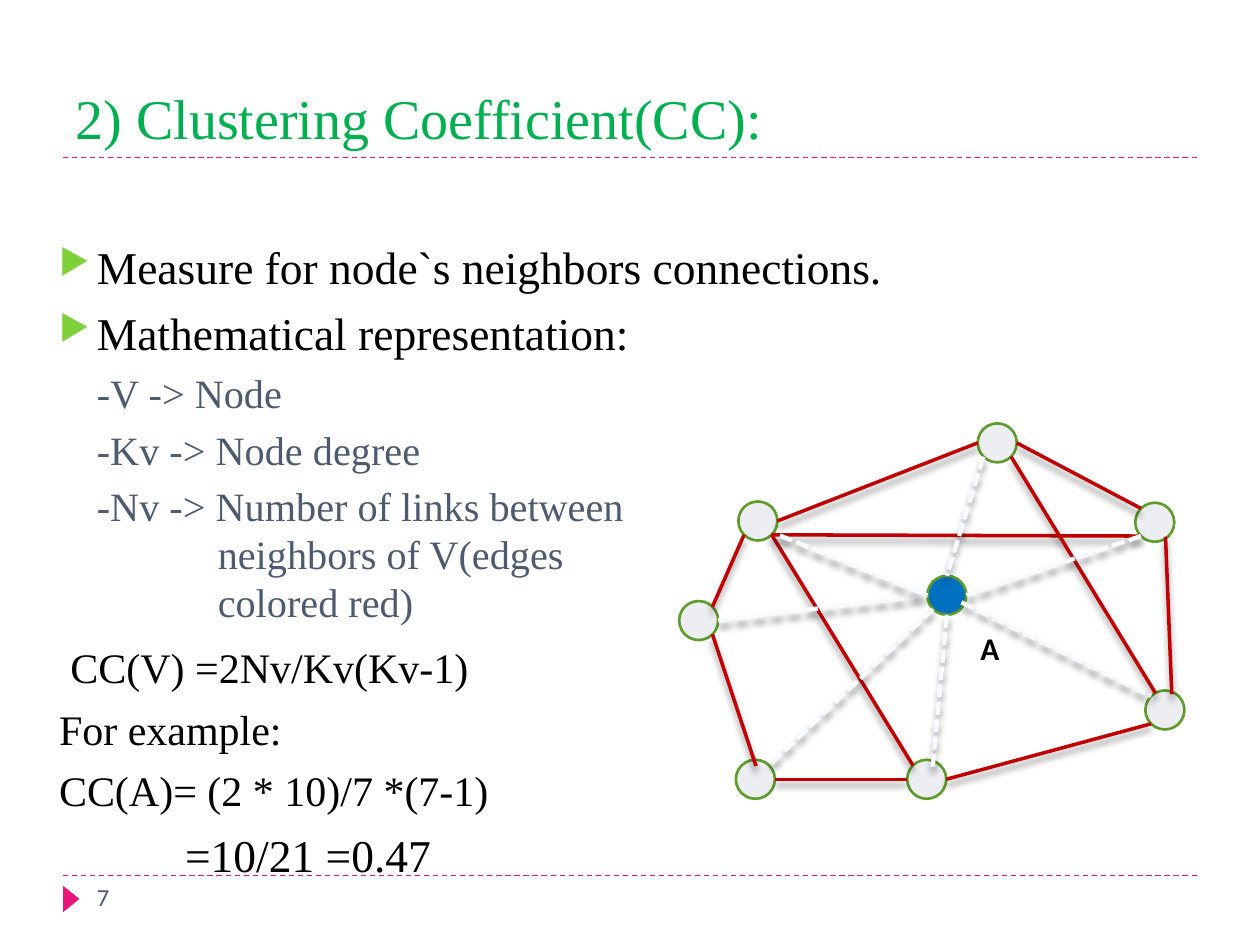
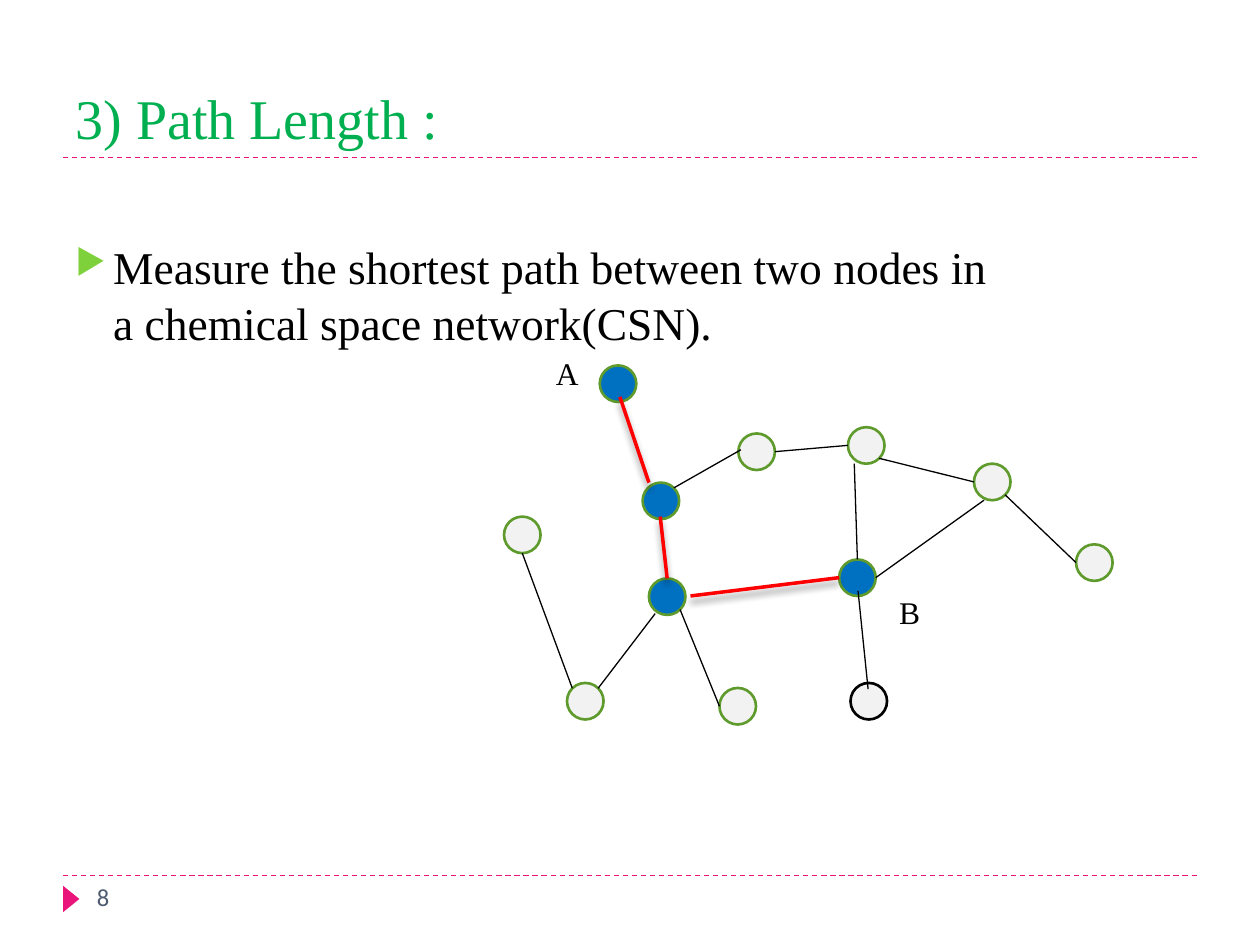
from math import cos, radians, sin

from lxml import etree
from pptx import Presentation
from pptx.dml.color import RGBColor
from pptx.enum.dml import MSO_LINE
from pptx.enum.shapes import MSO_CONNECTOR, MSO_SHAPE
from pptx.enum.text import MSO_ANCHOR, PP_ALIGN
from pptx.oxml.ns import qn
from pptx.util import Inches, Pt

STRAIGHT = MSO_CONNECTOR.STRAIGHT
OVAL, TRIANGLE = MSO_SHAPE.OVAL, MSO_SHAPE.ISOSCELES_TRIANGLE
DASH, SQUARE_DOT = MSO_LINE.DASH, MSO_LINE.SQUARE_DOT
TOP, BOTTOM = MSO_ANCHOR.TOP, MSO_ANCHOR.BOTTOM
LEFT, RIGHT = PP_ALIGN.LEFT, PP_ALIGN.RIGHT

SLIDE_WIDTH, SLIDE_HEIGHT = Inches(10), Inches(7.5)
COLUMNS, ROWS = 10, 7.5
SERIF, SANS = "Times New Roman", "Calibri"

COLORS = {
    "title": "00B050", "accent": "EA157A", "bullet": "7FD13B",
    "text": "000000", "muted": "4E5B6F", "marked": "0070C0",
    "pale": "ECEEF2", "grey": "F2F2F2", "rim": "5E9B2C",
    "neighbor": "C00000", "spoke": "F7FBFF", "shortest": "FF0000",
}

EDGE_STYLES = {
    "neighbor": {"color": "neighbor", "width": 2, "shadow": True},
    "spoke": {"color": "spoke", "width": 2.5, "dash": SQUARE_DOT, "shadow": True},
    "shortest": {"color": "shortest", "width": 2, "shadow": True},
    "plain": {"color": "text", "width": 0.75},
}

PARAGRAPH_STYLES = {
    "bullet": {"size": 26, "line": 31.8, "before": 6, "margin": 0.3, "hang": -0.3},
    "term": {"size": 23, "line": 27.4, "before": 5, "margin": 0.3, "color": "muted"},
    "long term": {"size": 23, "line": 27.4, "before": 5, "margin": 1.26,
                  "hang": -0.96, "color": "muted"},
    "formula": {"size": 24, "line": 29.2, "before": 8.6, "margin": 0.09},
    "example": {"size": 24, "line": 29.2, "before": 6},
    "result": {"size": 26, "line": 31.8, "before": 6, "margin": 1},
}

ANGLES = {"E": 0, "SE": 45, "S": 90, "SW": 135, "W": 180, "NW": 225, "N": 270, "NE": 315}

CLUSTER_TEXT = [
    ("bullet", "Measure for node`s neighbors connections."),
    ("bullet", "Mathematical representation:"),
    ("term", "-V -> Node"),
    ("term", "-Kv -> Node degree"),
    ("long term", "-Nv -> Number of links between\vneighbors of V(edges\vcolored red)"),
    ("formula", "CC(V) =2Nv/Kv(Kv-1)"),
    ("example", "For example:"),
    ("example", "CC(A)= (2 * 10)/7 *(7-1)"),
    ("result", "=10/21 =0.47"),
]
CLUSTER_NODES = {
    "A": (7.36, 4.57), "lower right": (9.09, 5.48), "upper right": (9.01, 3.99),
    "left": (5.39, 4.77), "upper left": (5.86, 3.98), "top": (7.76, 3.36),
    "bottom": (7.2, 6.03), "lower left": (5.84, 6.03),
}
CLUSTER_EDGES = {
    "neighbor": [
        (("top", "E"), ("upper right", "NW")),
        (("bottom", "E"), ("lower right", "SW")),
        (("lower left", "E"), ("bottom", "W")),
        (("left", "SE"), (6, 6.08)),
        (("left", "NE"), ("upper left", "SW")),
        (("upper left", "E"), ("top", "W")),
        ((9.3, 5.51), (9.25, 4.26)),
        (("bottom", "NW"), ("upper left", "SE")),
        (("upper right", "SW"), ("upper left", "SE")),
        ((9.17, 5.5), ("top", "SE")),
    ],
    "spoke": [
        (("top", "SW"), ("A", "N")),
        (("left", "E"), ("A", "W")),
        (("A", "SW"), ("lower left", "NE")),
        ((6.19, 4.25), ("A", "W")),
        (("A", "S"), (7.4, 6.11)),
        (("upper right", "SW"), ("A", "E")),
        ((7.63, 4.78), ("lower right", "NW")),
    ],
}

ROUTE_TEXT = [
    ("bullet", "Measure the shortest path between two nodes in a chemical space network(CSN)."),
]
ROUTE_NODES = {
    "A": (4.76, 2.9), "far": (7.73, 3.68), "B": (6.66, 4.44), "arch": (5.86, 3.44),
    "second": (5.1, 3.83), "west": (4, 4.1), "third": (5.15, 4.59),
    "low west": (4.5, 5.42), "under B": (6.75, 5.42), "low middle": (5.71, 5.46),
    "crest": (6.73, 3.39), "east": (8.54, 4.32),
}
ROUTE_EDGES = {
    "shortest": [
        ((4.92, 3.15), (5.15, 3.83)),
        ((5.48, 4.73), ("B", "W")),
        ((5.24, 4.1), ("third", "N")),
    ],
    "plain": [
        (("second", "NE"), (5.88, 3.57)),
        (("arch", "E"), ("crest", "W")),
        (("crest", "SE"), ("far", "W")),
        (("B", "N"), (6.78, 3.68)),
        (("B", "E"), (7.81, 3.97)),
        (("east", "W"), ("far", "SE")),
        ((6.81, 4.69), (6.89, 5.47)),
        (("third", "SE"), ("low middle", "W")),
        ((5.2, 4.87), ("low west", "NE")),
        (("west", "S"), ("low west", "NW")),
    ],
}


def col(count):
    """Return the length of a number of grid columns."""
    return round(SLIDE_WIDTH * count / COLUMNS)


def row(count):
    """Return the length of a number of grid rows."""
    return round(SLIDE_HEIGHT * count / ROWS)


def box(left, top, width, height):
    """Return a grid box as slide lengths."""
    return col(left), row(top), col(width), row(height)


def rgb(name):
    """Return a named colour."""
    return RGBColor.from_string(COLORS[name])


def apply(target, values):
    """Set each attribute of the target from a dict."""
    for attribute, value in values.items():
        setattr(target, attribute, value)


def style_text(paragraph, size, color="text", font=SERIF, bold=False, align=LEFT):
    """Format the font and alignment of a paragraph."""
    paragraph.alignment = align
    apply(paragraph.font, {"name": font, "size": Pt(size), "bold": bold})
    paragraph.font.color.rgb = rgb(color)


def add_label(slide, place, text, **style):
    """Add a one-line text box."""
    frame = slide.shapes.add_textbox(*box(*place)).text_frame
    frame.word_wrap = True
    frame.text = text
    style_text(frame.paragraphs[0], **style)


def add_line(slide, start, end, color, width, dash=None, shadow=False):
    """Draw a straight line between two grid points."""
    line = slide.shapes.add_connector(
        STRAIGHT, col(start[0]), row(start[1]), col(end[0]), row(end[1]))
    apply(line.line, {"width": Pt(width), "dash_style": dash})
    line.line.color.rgb = rgb(color)
    effects = etree.SubElement(line._element.spPr, qn("a:effectLst"))
    if shadow:
        outer = etree.SubElement(effects, qn("a:outerShdw"), blurRad=str(Pt(4)),
                                 dist=str(Pt(3.4)), dir="5400000", rotWithShape="0")
        black = etree.SubElement(outer, qn("a:srgbClr"), val=COLORS["text"])
        etree.SubElement(black, qn("a:alpha"), val="40000")


def add_filled(slide, kind, place, fill, rim=None):
    """Add a flat preset shape with an optional rim."""
    shape = slide.shapes.add_shape(kind, *box(*place))
    shape.shadow.inherit = False
    shape.fill.solid()
    shape.fill.fore_color.rgb = rgb(fill)
    if rim:
        shape.line.color.rgb = rgb(rim)
        shape.line.width = Pt(1.5)
    else:
        shape.line.fill.background()
    return shape


def add_bullet(paragraph):
    """Give a paragraph the green arrow bullet."""
    properties = paragraph._p.get_or_add_pPr()
    color = etree.SubElement(properties, qn("a:buClr"))
    etree.SubElement(color, qn("a:srgbClr"), val=COLORS["bullet"])
    etree.SubElement(properties, qn("a:buSzPct"), val="76000")
    etree.SubElement(properties, qn("a:buChar"), char="▶")


def add_body(slide, place, entries):
    """Add the styled paragraphs of the body."""
    frame = slide.shapes.add_textbox(*box(*place)).text_frame
    apply(frame, {"word_wrap": True, "vertical_anchor": TOP})
    for index, (kind, text) in enumerate(entries):
        style = PARAGRAPH_STYLES[kind]
        paragraph = frame.add_paragraph() if index else frame.paragraphs[0]
        paragraph.text = text
        apply(paragraph, {"line_spacing": Pt(style["line"]),
                          "space_before": Pt(style["before"] if index else 0)})
        properties = paragraph._p.get_or_add_pPr()
        properties.set("marL", str(col(style.get("margin", 0))))
        properties.set("indent", str(col(style.get("hang", 0))))
        if kind == "bullet":
            add_bullet(paragraph)
        style_text(paragraph, style["size"], style.get("color", "text"))


def locate(end, nodes, diameter):
    """Return a point, or the compass point on the rim of a node."""
    if not isinstance(end[0], str):
        return end
    name, compass = end
    left, top = nodes[name]
    angle, radius = radians(ANGLES[compass]), diameter / 2
    return left + radius * (1 + cos(angle)), top + radius * (1 + sin(angle))


def add_network(slide, nodes, edges, diameter, fill, marked, dark_rim=()):
    """Draw the nodes of a network and the edges over them."""
    for name, (left, top) in nodes.items():
        add_filled(slide, OVAL, (left, top, diameter, diameter),
                   "marked" if name in marked else fill,
                   "text" if name in dark_rim else "rim")
    for style, pairs in edges.items():
        for start, end in pairs:
            add_line(slide, locate(start, nodes, diameter),
                     locate(end, nodes, diameter), **EDGE_STYLES[style])


def add_content_slide(deck, title, number):
    """Add a slide with the title, rules, marker and page number."""
    slide = deck.slides.add_slide(deck.slide_layouts[5])
    heading = slide.shapes.title
    left, top, width, height = box(0.5, 0.17, 9, 1.08)
    apply(heading, {"left": left, "top": top, "width": width, "height": height})
    heading.text_frame.text = title
    heading.text_frame.vertical_anchor = BOTTOM
    style_text(heading.text_frame.paragraphs[0], 32, "title")
    for level in (6.95, 1.25):
        add_line(slide, (0.5, level), (9.5, level), "accent", 0.75, DASH)
    add_filled(slide, TRIANGLE, (0.46, 7.07, 0.21, 0.13), "accent").rotation = 90
    add_label(slide, (0.67, 6.95, 2.17, 0.4), str(number),
              size=14, color="muted", font=SANS)
    return slide


def main():
    """Build and save the presentation."""
    deck = Presentation()
    apply(deck, {"slide_width": SLIDE_WIDTH, "slide_height": SLIDE_HEIGHT})

    cluster = add_content_slide(deck, "2) Clustering Coefficient(CC):", 7)
    add_body(cluster, (0.37, 1.84, 8.91, 4.9), CLUSTER_TEXT)
    add_network(cluster, CLUSTER_NODES, CLUSTER_EDGES, 0.31, "pale", {"A"})
    add_label(cluster, (7.62, 4.94, 0.41, 0.4), "A",
              size=18, font=SANS, bold=True, align=RIGHT)

    route = add_content_slide(deck, "3) Path Length :", 8)
    add_body(route, (0.5, 1.84, 7.52, 4.98), ROUTE_TEXT)
    add_network(route, ROUTE_NODES, ROUTE_EDGES, 0.29, "grey",
                {"A", "second", "third", "B"}, {"under B"})
    for name, left, top in (("A", 4.31, 2.76), ("B", 7.02, 4.66)):
        add_label(route, (left, top, 0.38, 0.4), name, size=18, align=RIGHT)

    deck.save("out.pptx")


if __name__ == "__main__":
    main()
